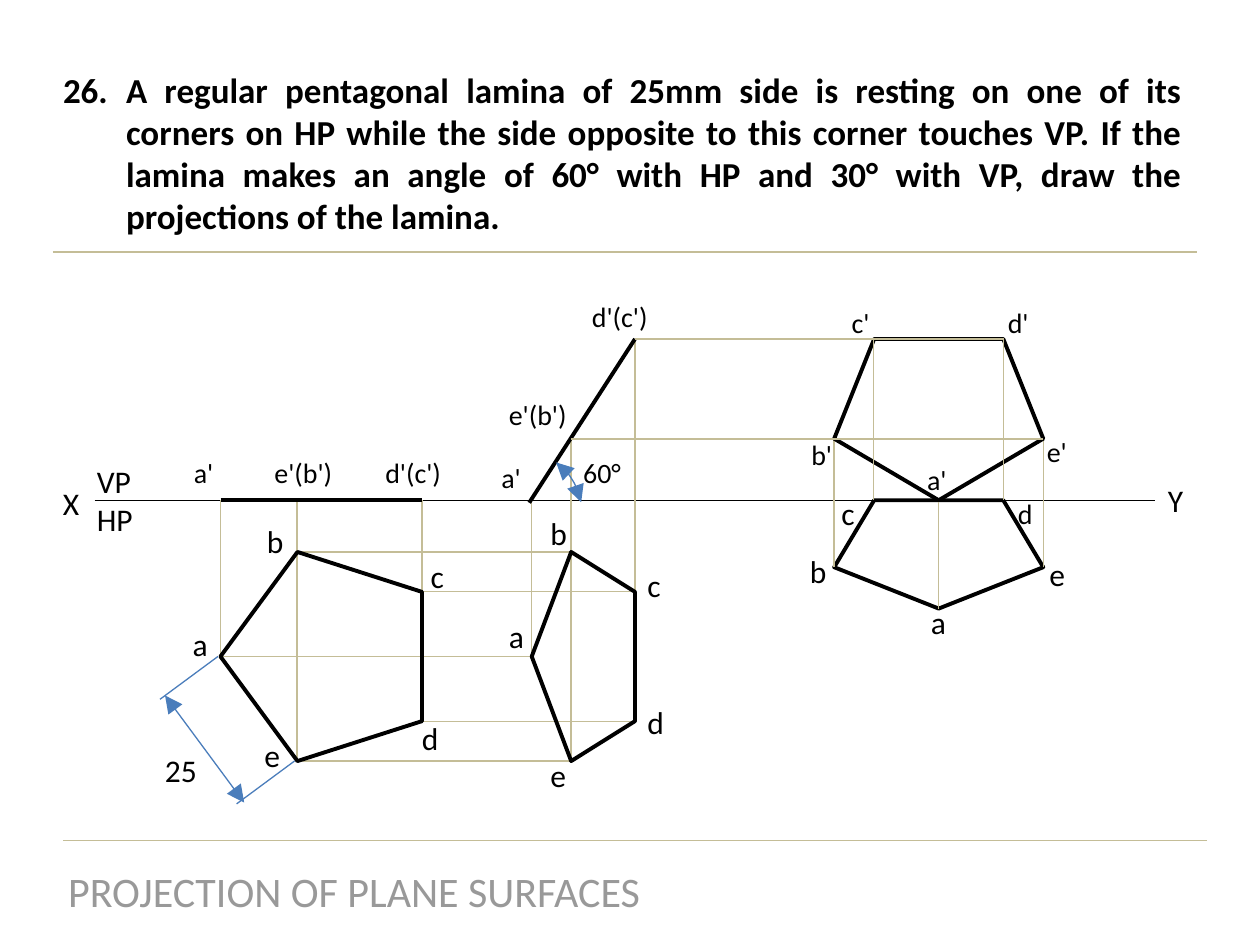
import pptx
import pptx.util
import pptx.dml.color
import pptx.enum.shapes
import pptx.enum.text
from lxml import etree
from pptx.util import Inches, Pt

INK, TAN, BLUE, GREY = "000000", "C4BD97", "4A7DBB", "999999"
FONT = "Calibri"
THIN, THICK = 0.75, 2.25
KIND = pptx.enum.shapes.MSO_SHAPE
ALIGN = pptx.enum.text.PP_ALIGN
# Pentagon corners: b and e lie SIDE of the way from corner a to edge cd,
# and c lies EDGE of the way across from b to e.
SIDE, EDGE = 0.38, 0.19


def rgb(code):
    return pptx.dml.color.RGBColor.from_string(code)


def add(parent, tag, **attrs):
    node = etree.SubElement(parent, pptx.oxml.ns.qn(tag))
    for key, value in attrs.items():
        node.set(key, value)
    return node


def stroke(shape, color, width, arrows=False):
    shape.line.color.rgb = rgb(color)
    shape.line.width = Pt(width)
    if arrows:
        for tag in ("a:headEnd", "a:tailEnd"):
            add(shape.line._get_or_add_ln(), tag, type="triangle",
                w="lg", len="lg")


def line(shapes, x1, y1, x2, y2, color=TAN, width=THIN, arrows=False):
    link = shapes.add_connector(
        pptx.enum.shapes.MSO_CONNECTOR.STRAIGHT,
        Inches(x1), Inches(y1), Inches(x2), Inches(y2))
    stroke(link, color, width, arrows)
    add(link._element.spPr, "a:effectLst")


def style(par, size, color=INK, bold=False):
    par.font.name = FONT
    par.font.size = Pt(size)
    par.font.color.rgb = rgb(color)
    par.font.bold = bold


def label(shapes, text, x, y, size=18, width=None, height=None, color=INK):
    width = width or 0.25 + 0.13 * len(text)
    height = height or (0.4 if size == 18 else 0.37)
    box = shapes.add_textbox(Inches(x), Inches(y), Inches(width), Inches(height))
    frame = box.text_frame
    frame.text = text
    frame.word_wrap = True
    for par in frame.paragraphs:
        par.alignment = ALIGN.LEFT
        style(par, size, color)
    return box


def labels(shapes, x, y, items):
    """Place (text, dx, dy, size) items relative to x, y."""
    for text, dx, dy, size in items:
        label(shapes, text, x + dx, y + dy, size)


def preset(shapes, kind, x, y, w, h, turn, color, width, arrows=False):
    shape = shapes.add_shape(kind, Inches(x), Inches(y), Inches(w), Inches(h))
    shape.rotation = turn
    shape.shadow.inherit = False
    shape.fill.background()
    stroke(shape, color, width, arrows)
    return shape


def pentagon(shapes, x, y, w, h, turn):
    """Draw a pentagon whose turned outline fills the box x, y, w, h."""
    if turn == 270:
        x, y, w, h = x + (w - h) / 2, y + (h - w) / 2, h, w
    preset(shapes, KIND.REGULAR_PENTAGON, x, y, w, h, turn, INK, THICK)


def problem(slide, x, y, w, h):
    title = slide.shapes.title
    title.left, title.top = Inches(x), Inches(y)
    title.width, title.height = Inches(w), Inches(h)
    frame = title.text_frame
    frame.auto_size = pptx.enum.text.MSO_AUTO_SIZE.NONE
    frame.vertical_anchor = pptx.enum.text.MSO_ANCHOR.TOP
    frame.text = (
        "A regular pentagonal lamina of 25mm side is resting on one of its "
        "corners on HP while the side opposite to this corner touches VP. "
        "If the lamina makes an angle of 60° with HP and 30° with VP, draw "
        "the projections of the lamina.")
    par = frame.paragraphs[0]
    par.alignment = ALIGN.JUSTIFY
    style(par, 20, bold=True)
    props = par._p.get_or_add_pPr()
    props.set("marL", str(Inches(0.5)))
    props.set("indent", str(-Inches(0.5)))
    number = etree.Element(pptx.oxml.ns.qn("a:buAutoNum"),
                           type="arabicPeriod", startAt="26")
    props.insert(0, number)
    line(slide.shapes, x + 0.02, 2, x + 9.1, 2)


def footer(shapes, x, y, w, h):
    line(shapes, x + 0.08, y - 0.15, x + 9.16, y - 0.15)
    box = label(shapes, "PROJECTION OF PLANE SURFACES", x, y, 24, w, h, GREY)
    box.text_frame.paragraphs[0].alignment = ALIGN.CENTER


def axis(shapes, x, y, w):
    """Draw the reference line XY with its plane names."""
    line(shapes, x, y, x + w, y, INK)
    labels(shapes, x, y, [("X", -0.35, -0.18, 18), ("Y", w, -0.2, 18)])
    label(shapes, "VP\nHP", x - 0.08, y - 0.35, 18, 0.55, 0.71)


def flat(shapes, x, y, w, h, base, reach):
    """First stage: lamina lying on HP, with projectors running to reach."""
    mid, right, low = x + SIDE * w, x + w, y + h
    for px, py in ((x, y + h / 2), (mid, low), (right, low - EDGE * h)):
        line(shapes, px, py, px, base)
    line(shapes, x, base, right, base, INK, THICK)
    far, side = reach[0] + reach[1], reach[0] + SIDE * reach[1]
    for px, end, part in ((mid, side, 0), (right, far, EDGE), (x, reach[0], 0.5),
                          (right, far, 1 - EDGE), (mid, side, 1)):
        line(shapes, px, y + part * h, end, y + part * h)
    pentagon(shapes, x, y, w, h, 270)
    labels(shapes, x, y, [
        ("a", -0.32, 0.53, 18), ("b", 0.27, -0.29, 18), ("c", 1.57, -0.01, 18),
        ("d", 1.5, 1.28, 18), ("e", 0.25, 1.41, 18), ("25", -0.54, 1.53, 18)])
    labels(shapes, x, base, [
        ("a'", -0.31, -0.4, 16), ("e'(b')", 0.33, -0.4, 16),
        ("d'(c')", 1.21, -0.4, 16)])
    measure(shapes.add_group_shape().shapes, x, y + h / 2, mid, low)


def measure(shapes, x1, y1, x2, y2):
    """Dimension the side from x1, y1 to x2, y2."""
    for px, py in ((x1, y1), (x2, y2)):
        line(shapes, px - 0.02, py, px - 0.48, py + 0.34, BLUE)
    line(shapes, x1 - 0.44, y1 + 0.31, x2 - 0.42, y2 + 0.33, BLUE, arrows=True)


def tilted(shapes, x, y, w, h, base, top):
    """Second stage: lamina raised at 60° to HP."""
    mid, right = x + SIDE * w, x + w
    side = base - SIDE * (base - top)
    for px, py, end in ((x, y + h / 2, base), (mid, y + h, side),
                        (right, y + h - EDGE * h, top)):
        line(shapes, px, py, px, end)
    line(shapes, right, top, x - 0.02, base + 0.02, INK, THICK)
    pentagon(shapes, x, y, w, h, 270)
    labels(shapes, x, y, [
        ("a", -0.28, 0.47, 18), ("b", 0.05, -0.35, 18), ("c", 0.82, 0.06, 18),
        ("d", 0.82, 1.15, 18), ("e", 0.05, 1.57, 18)])
    labels(shapes, x, base, [
        ("a'", -0.34, -0.36, 16), ("e'(b')", -0.28, -0.86, 16),
        ("d'(c')", 0.38, -1.64, 16), ("60°", 0.31, -0.4, 16)])
    arc = preset(shapes, KIND.ARC, x - 0.11, base - 0.34, 0.51, 0.83, 346.7,
                 BLUE, THIN, arrows=True)
    arc.adjustments[0], arc.adjustments[1] = 174.47, 0


def final(shapes, x, y, w, h, base, start):
    """Third stage: both views, joined to the second stage from start."""
    top, right, low = y, x + w, y + h
    side = base - SIDE * (base - top)
    deep = low - base
    pentagon(shapes, x, base, w, deep, 180)
    for px, py, end in ((x, low - SIDE * deep, side), (x + w / 2, low, base),
                        (right, low - SIDE * deep, side)):
        line(shapes, px, py, px, end)
    pentagon(shapes, x, top, w, base - top, 180)
    labels(shapes, x, base, [
        ("a", 0.67, 0.77, 18), ("b", -0.29, 0.36, 18), ("c", -0.04, -0.1, 18),
        ("d", 1.36, -0.08, 16), ("e", 1.61, 0.39, 18),
        ("a'", 0.64, -0.35, 16), ("b'", -0.28, -0.55, 16),
        ("c'", 0.04, -1.59, 16), ("d'", 1.28, -1.59, 16),
        ("e'", 1.59, -0.57, 16)])
    near, far = x + EDGE * w, right - EDGE * w
    line(shapes, start[0] + start[1], top, far, top)
    line(shapes, start[0] + SIDE * start[1], side, right, side)
    for px in (near, far):
        line(shapes, px, base, px, top)


def main():
    deck = pptx.Presentation()
    deck.slide_width, deck.slide_height = Inches(10), Inches(7.5)
    slide = deck.slides.add_slide(deck.slide_layouts[5])
    shapes = slide.shapes
    base, top = 3.97, 2.69
    tilt = (4.22, 0.82)
    problem(slide, 0.4, 0.49, 9.08, 1.45)
    footer(shapes, 0.42, 6.82, 4.78, 0.5)
    axis(shapes, 0.75, base, 8.42)
    flat(shapes, 1.75, 4.38, 1.6, 1.66, base, tilt)
    tilted(shapes, tilt[0], 4.38, tilt[1], 1.66, base, top)
    final(shapes, 6.62, top, 1.66, 2.14, base, tilt)
    deck.save("out.pptx")


if __name__ == "__main__":
    main()
